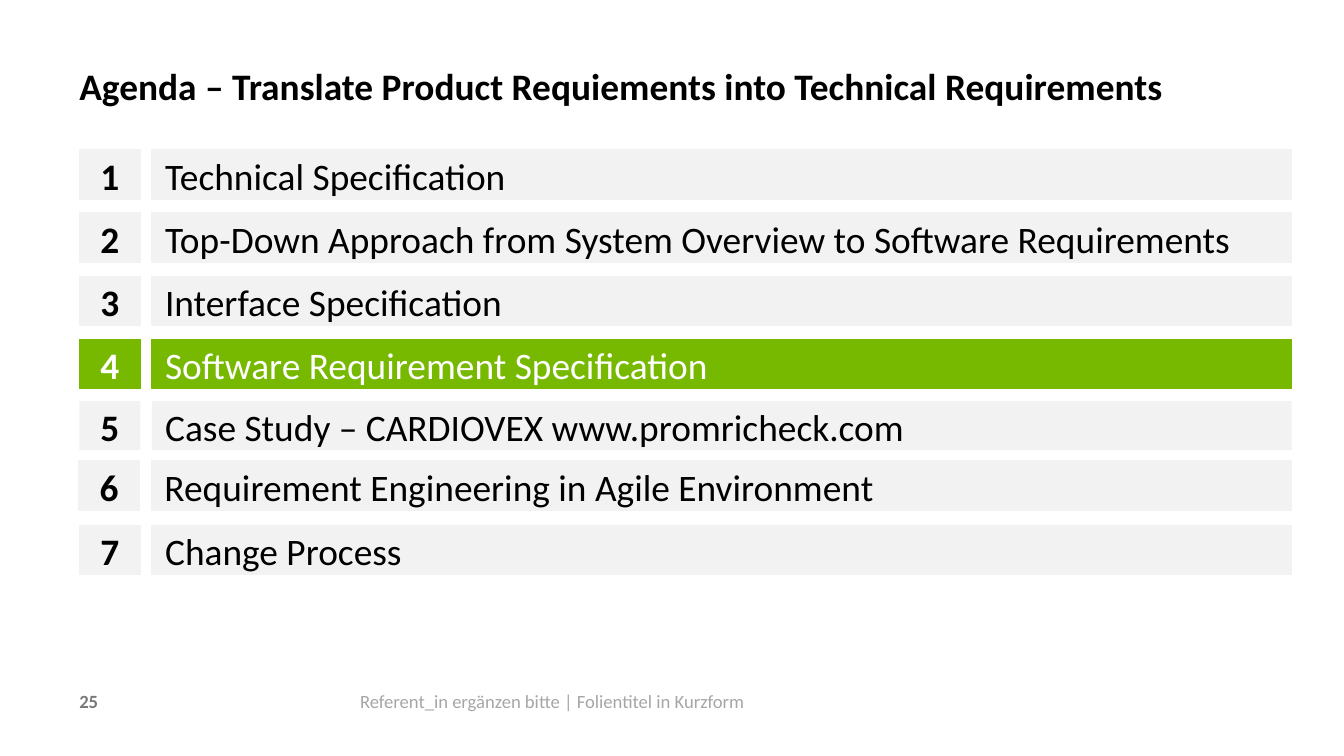
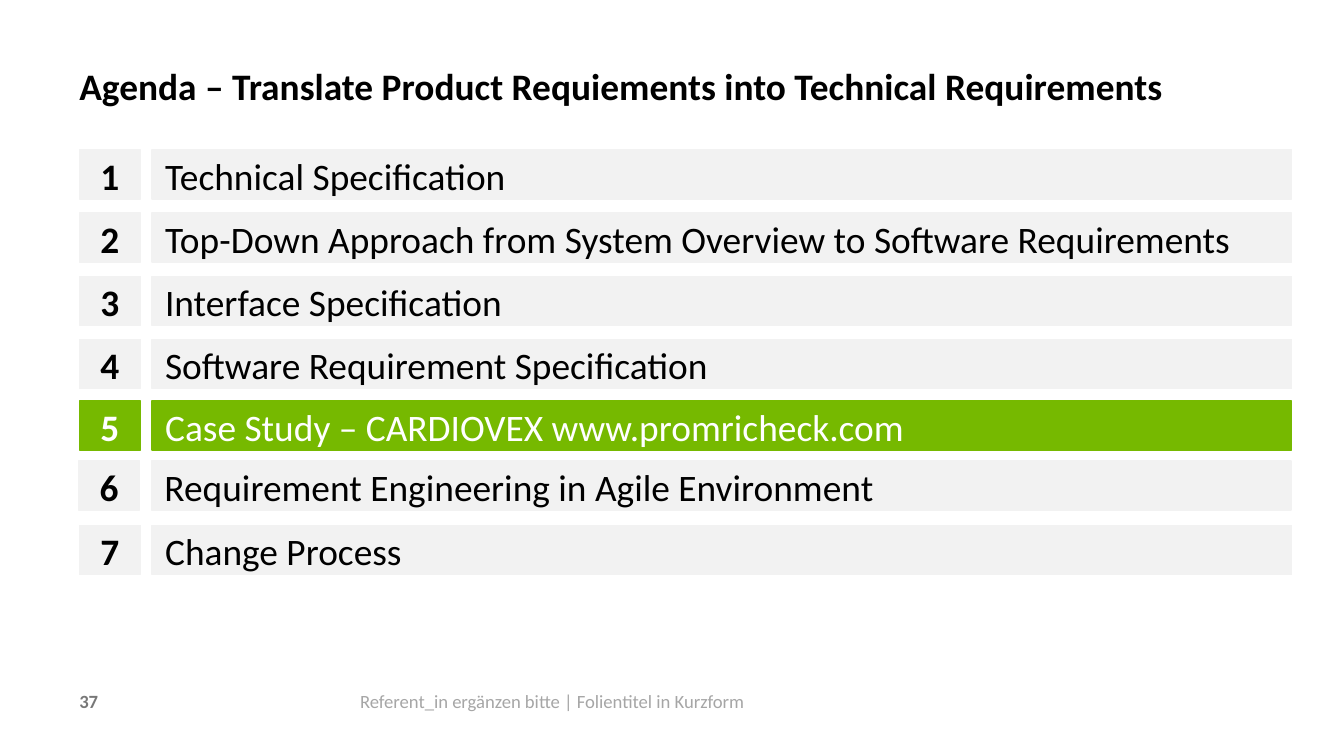
from dataclasses import dataclass

from pptx import Presentation
from pptx.dml.color import RGBColor
from pptx.enum.shapes import MSO_SHAPE
from pptx.enum.text import MSO_ANCHOR, MSO_AUTO_SIZE, PP_ALIGN
from pptx.util import Pt

RECT = MSO_SHAPE.RECTANGLE
TOP, MIDDLE = MSO_ANCHOR.TOP, MSO_ANCHOR.MIDDLE
LEFT, CENTER = PP_ALIGN.LEFT, PP_ALIGN.CENTER
GROW = MSO_AUTO_SIZE.SHAPE_TO_FIT_TEXT
TITLE_ONLY = 5

TITLE = "Agenda – Translate Product Requiements into Technical Requirements"
FOOTER = "Referent_in ergänzen bitte | Folientitel in Kurzform"
TOPICS = [
    "Technical Specification",
    "Top-Down Approach from System Overview to Software Requirements",
    "Interface Specification",
    "Software Requirement Specification",
    "Case Study – CARDIOVEX www.promricheck.com",
    "Requirement Engineering in Agile Environment",
    "Change Process",
]
SLIDES = [{"page": "25", "active": 4}, {"page": "37", "active": 5}]

PX = 4572  # 200 px to the inch
WIDTH, HEIGHT = 2000, 1125
MARGIN = 118
TITLE_BOX = (MARGIN, 66, 1646, 86)
PAGE_BOX = (MARGIN, 1026, 378, 40)
FOOT_BOX = (536, 1026, 1200, 40)
ROW_TOP, PITCH, ROW_H = 223, 94, 73
NUM_W, TEXT_X, TEXT_W = 91, 226, 1696
NUDGE = {5: (0, -2), 6: (-1, -7), 7: (0, -5)}  # rows off the even grid
BARE = 5  # this row has an outline only while active


def rgb(code):
    return RGBColor.from_string(code)


@dataclass(frozen=True)
class Theme:
    font: str = "Calibri"
    ink: RGBColor = rgb("000000")
    white: RGBColor = rgb("FFFFFF")
    band: RGBColor = rgb("F2F2F2")
    accent: RGBColor = rgb("76B900")
    page: RGBColor = rgb("787878")
    foot: RGBColor = rgb("A6A6A6")
    large: int = 20
    small: int = 10


THEME = Theme()


def scale(box):
    return [n * PX for n in box]


def write(frame, text, size, color, bold=False, align=LEFT):
    para = frame.paragraphs[0]
    para.alignment = align
    run = para.add_run()
    run.text = text
    font = run.font
    font.name, font.size, font.bold = THEME.font, Pt(size), bold
    font.color.rgb = color
    return para


def strip(frame):
    """Remove the insets and wrap from the top edge."""
    frame.margin_left = frame.margin_right = 0
    frame.margin_top = frame.margin_bottom = 0
    frame.vertical_anchor = TOP
    frame.word_wrap = True


def add_title(slide):
    title = slide.shapes.title
    title.left, title.top, title.width, title.height = scale(TITLE_BOX)
    frame = title.text_frame
    strip(frame)
    frame.auto_size = GROW
    para = write(frame, TITLE, THEME.large, THEME.ink, bold=True)
    para.line_spacing = Pt(34)


def add_note(slide, box, text, color, bold=False):
    """Add a small line of text at the foot of the slide."""
    frame = slide.shapes.add_textbox(*scale(box)).text_frame
    strip(frame)
    write(frame, text, THEME.small, color, bold)


def add_cell(slide, box, text, active, edge, bold=False, align=LEFT):
    fill = THEME.accent if active else THEME.band
    cell = slide.shapes.add_shape(RECT, *scale(box))
    cell.shadow.inherit = False
    cell.fill.solid()
    cell.fill.fore_color.rgb = fill
    if edge:
        cell.line.color.rgb = fill
        cell.line.width = Pt(0.75)
    else:
        cell.line.fill.background()
    frame = cell.text_frame
    frame.vertical_anchor = MIDDLE
    frame.word_wrap = True
    color = THEME.white if active else THEME.ink
    para = write(frame, text, THEME.large, color, bold, align)
    para.line_spacing = Pt(25)
    para.space_after = Pt(5.5)


def add_agenda(slide, active):
    for num, topic in enumerate(TOPICS, 1):
        dx, dy = NUDGE.get(num, (0, 0))
        top = ROW_TOP + (num - 1) * PITCH + dy
        on = num == active
        edge = on or num != BARE
        add_cell(slide, (MARGIN + dx, top, NUM_W, ROW_H), str(num), on, edge,
                 bold=True, align=CENTER)
        add_cell(slide, (TEXT_X + dx, top, TEXT_W, ROW_H), topic, on, edge)


def main():
    deck = Presentation()
    deck.slide_width, deck.slide_height = scale((WIDTH, HEIGHT))
    for item in SLIDES:
        slide = deck.slides.add_slide(deck.slide_layouts[TITLE_ONLY])
        add_title(slide)
        add_note(slide, PAGE_BOX, item["page"], THEME.page, bold=True)
        add_note(slide, FOOT_BOX, FOOTER, THEME.foot)
        add_agenda(slide, item["active"])
    deck.save("out.pptx")


if __name__ == "__main__":
    main()
